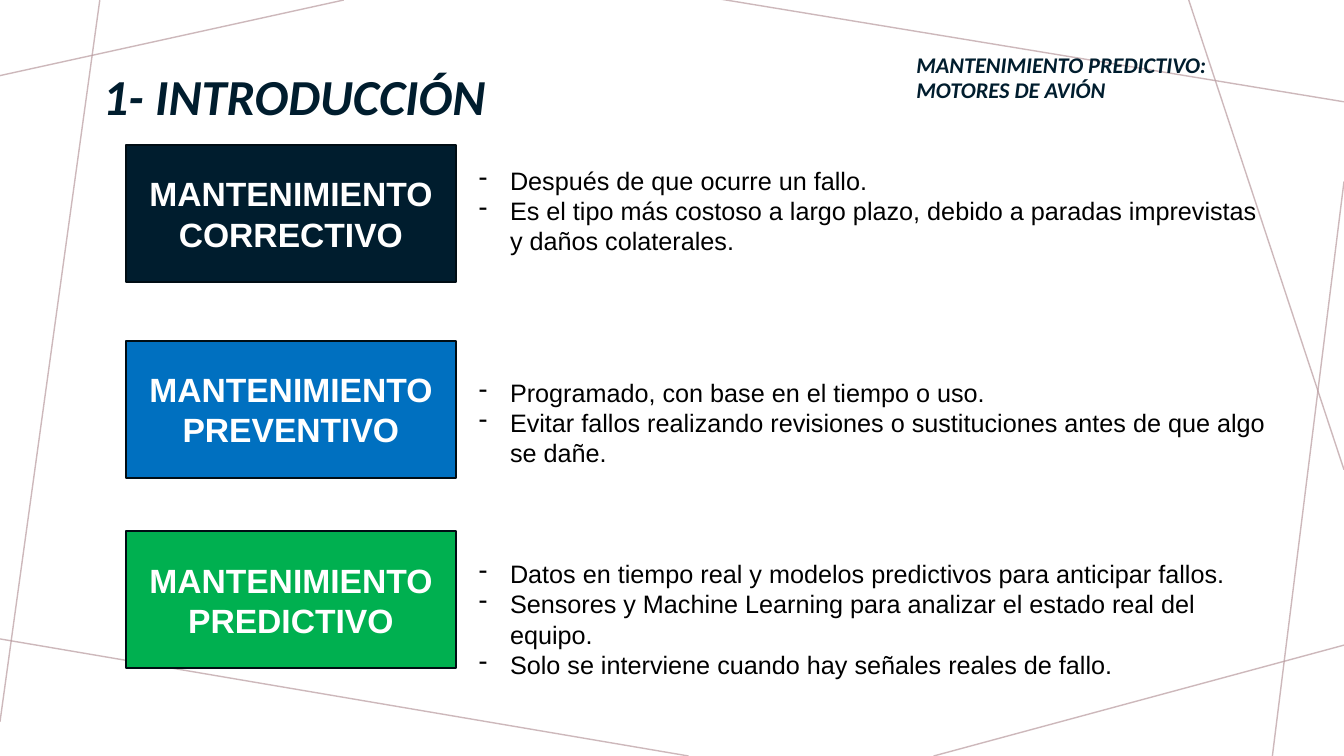
from dataclasses import dataclass

import pptx
import pptx.dml.color
import pptx.enum.shapes
import pptx.enum.text
import pptx.util
from lxml import etree
from pptx.oxml.ns import qn
from pptx.util import Inches

NAVY = "001D2E"
ANCHOR = pptx.enum.text.MSO_ANCHOR
ALIGN = pptx.enum.text.PP_ALIGN


@dataclass
class Line:
    x1: float
    y1: float
    x2: float
    y2: float


@dataclass
class Topic:
    name: str
    fill: str
    top: float
    gap: float  # points above the first item
    items: list[str]


LINES = [
    Line(3.41, 0, 0, 0.75),
    Line(0.99, 0, 0, 7.16),
    Line(6.83, 7.5, -0.05, 6.33),
    Line(13.33, 6.4, 9.26, 7.5),
    Line(13.33, 1.8, 12.62, 7.5),
    Line(13.33, 4.66, 11.79, 0),
    Line(13.33, 1.01, 7.14, -0.01),
]

TOPICS = [
    Topic("MANTENIMIENTO CORRECTIVO", NAVY, 1.44, 0, [
        "Después de que ocurre un fallo.",
        "Es el tipo más costoso a largo plazo, debido a paradas imprevistas "
        "y daños colaterales.",
    ]),
    Topic("MANTENIMIENTO PREVENTIVO", "0070C0", 3.38, 86.4, [
        "Programado, con base en el tiempo o uso.",
        "Evitar fallos realizando revisiones o sustituciones antes de que algo se dañe.",
    ]),
    Topic("MANTENIMIENTO PREDICTIVO", "00B050", 5.27, 64.8, [
        "Datos en tiempo real y modelos predictivos para anticipar fallos.",
        "Sensores y Machine Learning para analizar el estado real del equipo.",
        "Solo se interviene cuando hay señales reales de fallo.",
    ]),
]


def color(code: str) -> pptx.dml.color.RGBColor:
    return pptx.dml.color.RGBColor.from_string(code)


def add_run(para, text: str, size: int, face: str, code: str,
            bold: bool = False, slant: bool = False) -> None:
    run = para.add_run()
    run.text = text
    font = run.font
    font.name, font.size = face, pptx.util.Pt(size)
    font.bold, font.italic = bold, slant
    font.color.rgb = color(code)


def draw_line(shapes, line: Line) -> None:
    link = shapes.add_connector(
        pptx.enum.shapes.MSO_CONNECTOR.STRAIGHT,
        Inches(line.x1), Inches(line.y1), Inches(line.x2), Inches(line.y2))
    link.line.width = pptx.util.Pt(1)
    link.line.color.rgb = color("B99B9F")
    props = link._element.spPr
    tint = props.find(".//" + qn("a:srgbClr"))
    etree.SubElement(tint, qn("a:alpha")).set("val", "70000")
    etree.SubElement(props, qn("a:effectLst"))


def fill_head(frame, text: str, size: int) -> None:
    frame.word_wrap = True
    frame.auto_size = pptx.enum.text.MSO_AUTO_SIZE.NONE
    frame.vertical_anchor = ANCHOR.BOTTOM
    para = frame.paragraphs[0]
    para.alignment = ALIGN.LEFT
    para.line_spacing = 0.9
    add_run(para, text, size, "Calibri", NAVY, True, True)


def draw_card(shapes, topic: Topic) -> None:
    card = shapes.add_shape(
        pptx.enum.shapes.MSO_SHAPE.RECTANGLE,
        Inches(1.25), Inches(topic.top), Inches(3.27), Inches(1.36))
    card.shadow.inherit = False
    card.fill.solid()
    card.fill.fore_color.rgb = color(topic.fill)
    card.line.color.rgb = color("000D14")
    card.line.width = pptx.util.Pt(1.5)
    frame = card.text_frame
    frame.word_wrap = True
    frame.vertical_anchor = ANCHOR.MIDDLE
    para = frame.paragraphs[0]
    para.alignment = ALIGN.CENTER
    add_run(para, topic.name, 24, "Arial", "FFFFFF", True)


def add_item(para, text: str, gap: float) -> None:
    props = para._p.get_or_add_pPr()
    props.set("marL", str(Inches(0.31)))
    props.set("indent", str(-Inches(0.31)))
    etree.SubElement(props, qn("a:buChar")).set("char", "-")
    if gap:
        para.space_before = pptx.util.Pt(gap)
    add_run(para, text, 18, "Arial", "000000")


def draw_notes(shapes, topics: list[Topic]) -> None:
    box = shapes.add_textbox(Inches(4.65), Inches(1.59), Inches(8.09), Inches(4.95))
    frame = box.text_frame
    frame.word_wrap = True
    para = frame.paragraphs[0]
    for topic in topics:
        for rank, text in enumerate(topic.items):
            if para.runs:
                para = frame.add_paragraph()
            add_item(para, text, 0 if rank else topic.gap)


def main() -> None:
    deck = pptx.Presentation()
    deck.slide_width, deck.slide_height = Inches(13.33), Inches(7.5)
    slide = deck.slides.add_slide(deck.slide_layouts[5])
    shapes = slide.shapes

    # Background lines
    for line in LINES:
        draw_line(shapes, line)

    # Title and running head
    title = shapes.title
    title.left, title.top = Inches(0.92), Inches(0.4)
    title.width, title.height = Inches(6.01), Inches(0.9)
    fill_head(title.text_frame, "1- INTRODUCCIÓN", 36)
    head = shapes.add_textbox(Inches(8.99), Inches(0.39), Inches(3.73), Inches(0.68))
    fill_head(head.text_frame, "MANTENIMIENTO PREDICTIVO: MOTORES DE AVIÓN", 16)

    # Maintenance types and their traits
    for topic in TOPICS:
        draw_card(shapes, topic)
    draw_notes(shapes, TOPICS)

    deck.save("out.pptx")


if __name__ == "__main__":
    main()
